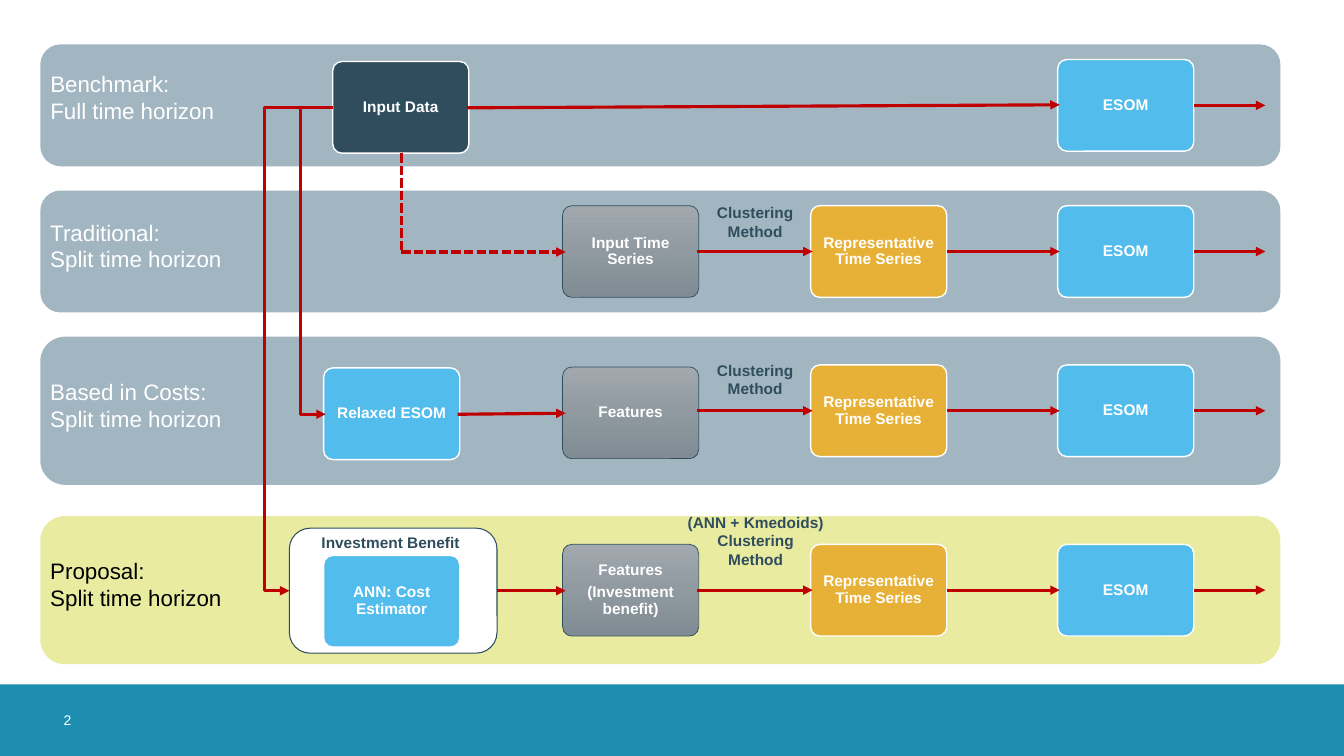
from dataclasses import dataclass
from lxml.etree import SubElement
from pptx import Presentation
from pptx.dml.color import RGBColor
from pptx.enum.dml import MSO_LINE
from pptx.enum.shapes import MSO_CONNECTOR, MSO_SHAPE
from pptx.enum.text import MSO_ANCHOR, MSO_AUTO_SIZE, PP_ALIGN
from pptx.oxml.ns import qn
from pptx.util import Inches, Pt


@dataclass(frozen=True)
class Theme:
    font: str = "Arial"
    white: str = "FFFFFF"
    black: str = "000000"
    navy: str = "2F4D5D"
    sky: str = "52BDEC"
    amber: str = "E7B037"
    gray: tuple = ("A1A8AE", "808B93")
    slate: str = "466E87"
    lime: str = "D4D842"
    footer: str = "1D8DB0"
    arrow: str = "C00000"
    heading: int = 16
    label: int = 11
    number: int = 10


THEME = Theme()
BOX_W, BOX_H = 1.35, 0.91
BAND_LEFT, BAND_W = 0.4, 12.3
FEATURE_X, CLUSTER_X, ESOM_X = 5.58, 8.04, 10.49
ARROW_END = 12.55
OVERLAP = 0.02

BANDS = [
    (0.44, 1.21, THEME.slate),
    (1.89, 1.21, THEME.slate),
    (3.34, 1.47, THEME.slate),
    (5.12, 1.47, THEME.lime),
]
HEADINGS = [
    ("Benchmark:\nFull time horizon", 0.65, 1.88, THEME.white),
    ("Traditional:\nSplit time horizon", 2.12, 1.96, THEME.white),
    ("Based in Costs:\nSplit time horizon", 3.7, 1.96, THEME.white),
    ("Proposal:\nSplit time horizon", 5.48, 1.96, THEME.black),
]
SOURCES = [
    ("Input Data", 3.3, 0.61, THEME.navy),
    ("Relaxed ESOM", 3.21, 3.65, THEME.sky),
    ("ANN: Cost Estimator", 3.21, 5.51, THEME.sky),
]
FEATURES = [
    ("Input Time Series", 2.04),
    ("Features", 3.64),
    ("Features\n(Investment benefit)", 5.4),
]
CLUSTER_TOPS = [2.04, 3.62, 5.4]
ESOM_TOPS = [0.59] + CLUSTER_TOPS
METHODS = [
    ("Clustering\nMethod", 7, 1.97, 0.98, 0.54),
    ("Clustering\nMethod", 7, 3.53, 0.98, 0.54),
    ("(ANN + Kmedoids)\nClustering\nMethod", 6.7, 5.04, 1.59, 0.75),
]
ARROWS = [
    ((4.63, 1.07), (10.51, 1.04)),
    ((4.54, 4.11), (5.61, 4.1)),
    ((4.93, 5.86), (5.61, 5.86)),
]
DASHED_CORNER = [(3.98, 1.52), (3.98, 2.5), (5.61, 2.5)]
ELBOWS = [((3.3, 1.07), (3.23, 4.11), 2.98), ((3.3, 1.07), (2.87, 5.86), 2.62)]

presentation = Presentation()
presentation.slide_width = Inches(13.33)
presentation.slide_height = Inches(7.5)
slide = presentation.slides.add_slide(presentation.slide_layouts[6])


def rgb(color):
    return RGBColor.from_string(color)


def write_text(shape, text, size=THEME.label, color=THEME.white, bold=True,
               align=PP_ALIGN.CENTER, anchor=MSO_ANCHOR.MIDDLE, margin=0.07,
               spacing=None, after=None):
    frame = shape.text_frame
    frame.word_wrap = True
    frame.vertical_anchor = anchor
    frame.margin_left = frame.margin_right = Inches(margin)
    frame.margin_top = frame.margin_bottom = Inches(margin)
    frame.text = text
    for paragraph in frame.paragraphs:
        paragraph.alignment = align
        paragraph.line_spacing = spacing
        paragraph.space_after = after
        font = paragraph.runs[0].font
        font.name, font.size, font.bold = THEME.font, Pt(size), bold
        font.color.rgb = rgb(color)


def add_block(preset, left, top, width, height, fill, line=None, weight=1):
    block = slide.shapes.add_shape(
        preset, Inches(left), Inches(top), Inches(width), Inches(height))
    block.shadow.inherit = False
    if isinstance(fill, tuple):
        block.fill.gradient()
        block.fill.gradient_angle = 270
        for stop, color in zip(block.fill.gradient_stops, fill):
            stop.color.rgb = rgb(color)
    else:
        block.fill.solid()
        block.fill.fore_color.rgb = rgb(fill)
    if line:
        block.line.color.rgb = rgb(line)
        block.line.width = Pt(weight)
    else:
        block.line.fill.background()
    return block


def add_step(text, left, top, fill, line=THEME.white, weight=1):
    step = add_block(MSO_SHAPE.ROUNDED_RECTANGLE, left, top, BOX_W, BOX_H,
                     fill, line, weight)
    step.adjustments[0] = 0.1
    write_text(step, text, spacing=0.9, after=Pt(4))


def add_label(text, left, top, width, height, **style):
    label = slide.shapes.add_textbox(
        Inches(left), Inches(top), Inches(width), Inches(height))
    write_text(label, text, anchor=MSO_ANCHOR.TOP, **style)
    frame = label.text_frame
    frame.margin_left = frame.margin_right = Inches(0.1)
    frame.margin_top = frame.margin_bottom = Inches(0.05)
    frame.word_wrap = False
    frame.auto_size = MSO_AUTO_SIZE.SHAPE_TO_FIT_TEXT


def add_arrow(start, end, kind=MSO_CONNECTOR.STRAIGHT, dashed=False, head=True):
    arrow = slide.shapes.add_connector(
        kind, *(Inches(value) for value in (*start, *end)))
    arrow.line.color.rgb = rgb(THEME.arrow)
    arrow.line.width = Pt(2.25)
    if dashed:
        arrow.line.dash_style = MSO_LINE.SQUARE_DOT
    properties = arrow._element.spPr
    if head:
        SubElement(properties.find(qn("a:ln")), qn("a:tailEnd"), type="triangle")
    SubElement(properties, qn("a:effectLst"))
    return properties


def add_elbow(start, end, lane):
    properties = add_arrow(start, end, MSO_CONNECTOR.ELBOW)
    transform = properties.find(qn("a:xfrm"))
    transform.attrib.pop("flipH")
    transform.set("rot", "10800000")
    transform.set("flipV", "1")
    bend = round((start[0] - lane) / (start[0] - end[0]) * 100000)
    guides = properties.find(qn("a:prstGeom")).find(qn("a:avLst"))
    SubElement(guides, qn("a:gd"), name="adj1", fmla=f"val {bend}")


def build_slide():
    add_block(MSO_SHAPE.RECTANGLE, 0, 6.79, 13.33, 0.71, THEME.footer)
    page_number = slide.shapes.add_textbox(
        Inches(0.63), Inches(6.79), Inches(0.71), Inches(0.71))
    write_text(page_number, "2", size=THEME.number, bold=False,
               align=PP_ALIGN.LEFT, margin=0)

    for top, height, color in BANDS:
        band = add_block(MSO_SHAPE.ROUNDED_RECTANGLE, BAND_LEFT, top,
                         BAND_W, height, color)
        tint = band._element.spPr.find(qn("a:solidFill"))[0]
        SubElement(tint, qn("a:alpha"), val="50000")
    for text, top, width, color in HEADINGS:
        add_label(text, BAND_LEFT, top, width, 0.73, size=THEME.heading,
                  color=color, bold=False, align=PP_ALIGN.LEFT)

    add_block(MSO_SHAPE.ROUNDED_RECTANGLE, 2.87, 5.24, 2.06, 1.24,
              THEME.white, THEME.navy, 0.75)
    for text, left, top, fill in SOURCES:
        add_step(text, left, top, fill)
    add_label("Investment Benefit", 3.09, 5.24, 1.61, 0.33,
              color=THEME.navy, align=PP_ALIGN.LEFT)
    for text, top in FEATURES:
        add_step(text, FEATURE_X, top, THEME.gray, THEME.navy, 0.5)
    for top in CLUSTER_TOPS:
        middle = top + BOX_H / 2
        add_step("Representative Time Series", CLUSTER_X, top, THEME.amber)
        add_arrow((FEATURE_X + BOX_W - OVERLAP, middle),
                  (CLUSTER_X + OVERLAP, middle))
    for top in ESOM_TOPS:
        middle = top + BOX_H / 2
        add_step("ESOM", ESOM_X, top, THEME.sky)
        add_arrow((ESOM_X + BOX_W, middle), (ARROW_END, middle))
        if top in CLUSTER_TOPS:
            add_arrow((CLUSTER_X + BOX_W, middle), (ESOM_X + OVERLAP, middle))

    for start, end in ARROWS:
        add_arrow(start, end)
    origin, corner, target = DASHED_CORNER
    add_arrow(origin, corner, dashed=True, head=False)
    add_arrow(corner, target, dashed=True)
    for start, end, lane in ELBOWS:
        add_elbow(start, end, lane)
    for text, *place in METHODS:
        add_label(text, *place, color=THEME.navy)


if __name__ == "__main__":
    build_slide()
    presentation.save("out.pptx")
